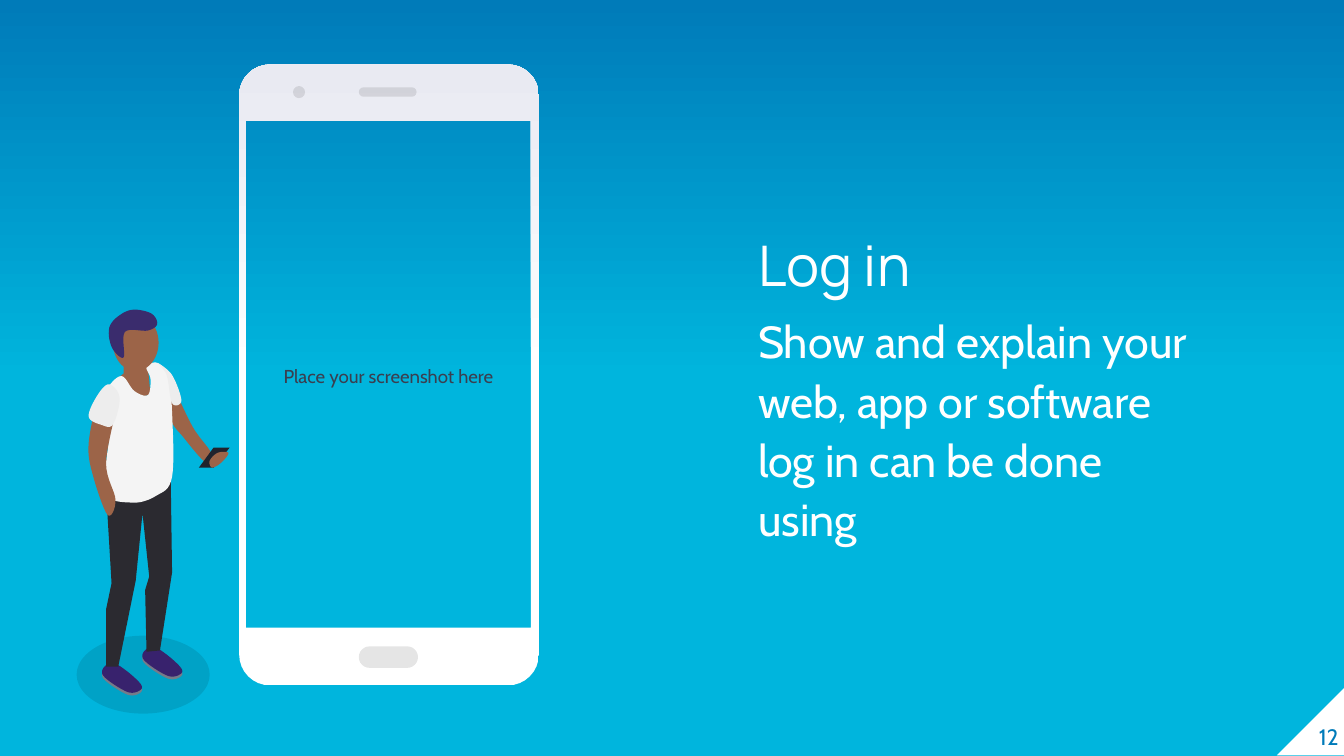
from collections import namedtuple
from math import cos, pi, sin

from lxml import etree
from pptx import Presentation
from pptx.dml.color import RGBColor
from pptx.enum.shapes import MSO_SHAPE
from pptx.enum.text import MSO_ANCHOR, MSO_AUTO_SIZE, PP_ALIGN
from pptx.oxml.ns import qn
from pptx.util import Pt

PX = 9144  # EMU in one px, at 100 px to the inch
Box = namedtuple("Box", "left top width height")

COLORS = {
    "sky": "00B5DD", "deep": "007BB9", "white": "FFFFFF", "mist": "E9EAF2",
    "black": "000000", "ink": "3A3F50", "shoe": "38226D", "sole": "757B89",
    "trousers": "2B2A30", "skin": "9C6448", "device": "20232D",
    "shirt": "F4F4F4", "sleeve": "EDEDED", "hair": "3A2C6D",
}

SHOE = [(2, 0), (11, 0), (26, 12), (28, 18), (18, 20), (0, 8)]

# Colour, whether the outline is smooth, and its points; from back to front
BODY = [
    ("trousers", False, [(29, 167), (33, 234), (29, 253), (29, 296), (38, 296), (51, 232),
                         (56, 182), (61, 229), (58, 239), (59, 285), (69, 284), (78, 226),
                         (77, 155)]),
    ("skin", False, [(42, 66), (42, 78), (35, 84), (48, 96), (62, 94), (60, 72)]),
    ("skin", True, [(69, 76), (75, 80), (93, 117), (107, 137), (103, 144), (87, 126), (76, 110)]),
    ("device", False, [(98, 148), (109, 133), (121, 133), (109, 148)]),
    ("skin", True, [(106, 143), (112, 137), (120, 137), (115, 144), (108, 148)]),
    ("shirt", True, [(41, 80), (50, 91), (60, 94), (62, 82), (59, 73), (67, 70), (75, 80),
                     (78, 106), (78, 155), (66, 169), (48, 174), (28, 166), (31, 124),
                     (27, 97), (32, 86)]),
    ("skin", True, [(36, 172), (29, 145), (36, 103), (31, 92), (23, 98), (16, 130), (19, 153),
                    (30, 183)]),
]
HAIR_AND_SLEEVES = [
    ("hair", True, [(42, 66), (43, 47), (60, 46), (67, 41), (62, 33), (46, 31), (32, 42),
                    (33, 58)]),
    ("sleeve", True, [(16, 110), (25, 116), (34, 116), (39, 96), (31, 86), (22, 95)]),
    ("sleeve", True, [(78, 100), (85, 98), (78, 79), (67, 70), (74, 79)]),
]


def rgb(name):
    return RGBColor.from_string(COLORS[name])


def fill_gradient(fill, low, high):
    """Plain low colour up to the middle, then blending into high at the top."""
    fill.gradient()
    fill.gradient_angle = 90
    for stop, position, name in zip(fill.gradient_stops, (0.5, 1), (low, high)):
        stop.position = position
        stop.color.rgb = rgb(name)


def paint(shape, name, alpha=100):
    shape.shadow.inherit = False
    shape.line.fill.background()
    shape.fill.solid()
    shape.fill.fore_color.rgb = rgb(name)
    if alpha < 100:
        color = shape.fill._xPr.find(".//" + qn("a:srgbClr"))
        etree.SubElement(color, qn("a:alpha")).set("val", str(alpha * 1000))
    return shape


def add_preset(shapes, kind, box, name, alpha=100):
    return paint(shapes.add_shape(kind, *(n * PX for n in box)), name, alpha)


def smooth_curve(points, steps=8):
    """Closed Catmull-Rom curve through the points."""
    count, curve = len(points), []
    for index in range(count):
        near = [points[(index + shift) % count] for shift in (-1, 0, 1, 2)]
        for step in range(steps):
            t = step / steps
            curve.append(tuple(
                b + t * (c - a + t * (2 * a - 5 * b + 4 * c - d + t * (3 * (b - c) + d - a))) / 2
                for a, b, c, d in zip(*near)))
    return curve


def rounded_outline(width, height, radius, steps=8):
    centers = [(width - radius, height - radius), (radius, height - radius),
               (radius, radius), (width - radius, radius)]
    turns = [(corner, (corner + step / steps) * pi / 2)
             for corner in range(4) for step in range(steps + 1)]
    return [(centers[corner][0] + radius * cos(angle), centers[corner][1] + radius * sin(angle))
            for corner, angle in turns]


def add_outline(shapes, box, outlines, name):
    builder = None
    for outline in outlines:
        start, *rest = [(round(x * PX), round(y * PX)) for x, y in outline]
        if builder is None:
            builder = shapes.build_freeform(*start)
        else:
            builder.move_to(*start)
        builder.add_line_segments(rest, close=True)
    return paint(builder.convert_to_shape(box.left * PX, box.top * PX), name)


def set_frame(frame, anchor, margin=0):
    frame.word_wrap = True
    frame.auto_size = MSO_AUTO_SIZE.NONE
    frame.vertical_anchor = anchor
    frame.margin_left = frame.margin_right = margin * PX
    frame.margin_top = frame.margin_bottom = margin * PX


def set_text(para, text, font, size, name, align=PP_ALIGN.LEFT):
    para.text = text
    para.alignment = align
    para.font.name, para.font.size = font, Pt(size)
    para.font.color.rgb = rgb(name)


def add_label(page, box, text, size, name, align, anchor, margin=0):
    frame = page.shapes.add_textbox(*(n * PX for n in box)).text_frame
    set_frame(frame, anchor, margin)
    set_text(frame.paragraphs[0], text, "Cabin", size, name, align)


def add_message(page, box):
    body = page.placeholders[1]
    body.left, body.top, body.width, body.height = (n * PX for n in box)
    frame = body.text_frame
    set_frame(frame, MSO_ANCHOR.MIDDLE)
    lines = [
        ("Log in", "Manrope", 30),
        ("Show and explain your web, app or software log in can be done using", "Cabin", 24),
    ]
    for number, (text, font, size) in enumerate(lines):
        para = frame.add_paragraph() if number else frame.paragraphs[0]
        set_text(para, text, font, size, "white")
        para.line_spacing, para.space_before = 1.1, Pt(6)
        props = para._p.get_or_add_pPr()
        props.set("marL", "0")
        props.set("indent", "0")
        props.insert_element_before(props.makeelement(qn("a:buNone")), "a:tabLst", "a:defRPr")


def add_phone(page, box):
    shapes = page.shapes.add_group_shape().shapes
    # Case with an open screen
    left, top, right, bottom = 5, 42, box.width - 6, box.height - 43
    window = [(right, top), (right, bottom), (left, bottom), (left, top)]
    case = add_outline(shapes, box, [window, rounded_outline(box.width, box.height, 23)], "white")
    fill_gradient(case.fill, "white", "mist")
    # Home button, speaker and camera, all with round ends
    for x, y, width, height in ((89, 433, 44, 16), (89, 17, 43, 7), (40, 16, 9, 9)):
        part = Box(box.left + x, box.top + y, width, height)
        shape = add_preset(shapes, MSO_SHAPE.ROUNDED_RECTANGLE, part, "black", 10)
        shape.adjustments[0] = 0.5
    add_label(page, Box(box.left + 6, box.top + 44, 210, 376), "Place your screenshot here",
              10, "ink", PP_ALIGN.CENTER, MSO_ANCHOR.MIDDLE, 10)


def add_person(page, box):
    shapes = page.shapes.add_group_shape().shapes
    ground = Box(box.left + 7, box.top + 273, 99, 58)
    add_preset(shapes, MSO_SHAPE.OVAL, ground, "black", 10)
    # Each shoe sits on a sole of the same outline
    for x, y in ((27, 295), (57, 283)):
        for name, drop in (("sole", 2), ("shoe", 0)):
            place = Box(box.left + x, box.top + y + drop, 29, 20)
            add_outline(shapes, place, [smooth_curve(SHOE)], name)

    def add_parts(parts):
        for name, smooth, points in parts:
            add_outline(shapes, box, [smooth_curve(points) if smooth else points], name)

    add_parts(BODY)
    head = Box(box.left + 34, box.top + 34, 34, 42)
    add_preset(shapes, MSO_SHAPE.OVAL, head, "skin")
    add_parts(HAIR_AND_SLEEVES)


def add_page_corner(page, box):
    corner = add_preset(page.shapes, MSO_SHAPE.RIGHT_TRIANGLE, box, "white")
    corner.rotation = 270
    add_label(page, Box(box.left - 4, box.top - 4, 50, 51), "12", 12, "deep",
              PP_ALIGN.RIGHT, MSO_ANCHOR.BOTTOM)


def main():
    deck = Presentation()
    deck.slide_width, deck.slide_height = 1000 * PX, 1000 * PX * 9 // 16
    page = deck.slides.add_slide(deck.slide_layouts[1])
    title = page.shapes.title.element
    title.getparent().remove(title)
    fill_gradient(page.background.fill, "sky", "deep")
    add_page_corner(page, Box(950, 511, 51, 51))
    add_message(page, Box(564, 172, 328, 228))
    add_phone(page, Box(178, 48, 223, 462))
    add_person(page, Box(50, 200, 125, 331))
    deck.save("out.pptx")


if __name__ == "__main__":
    main()
